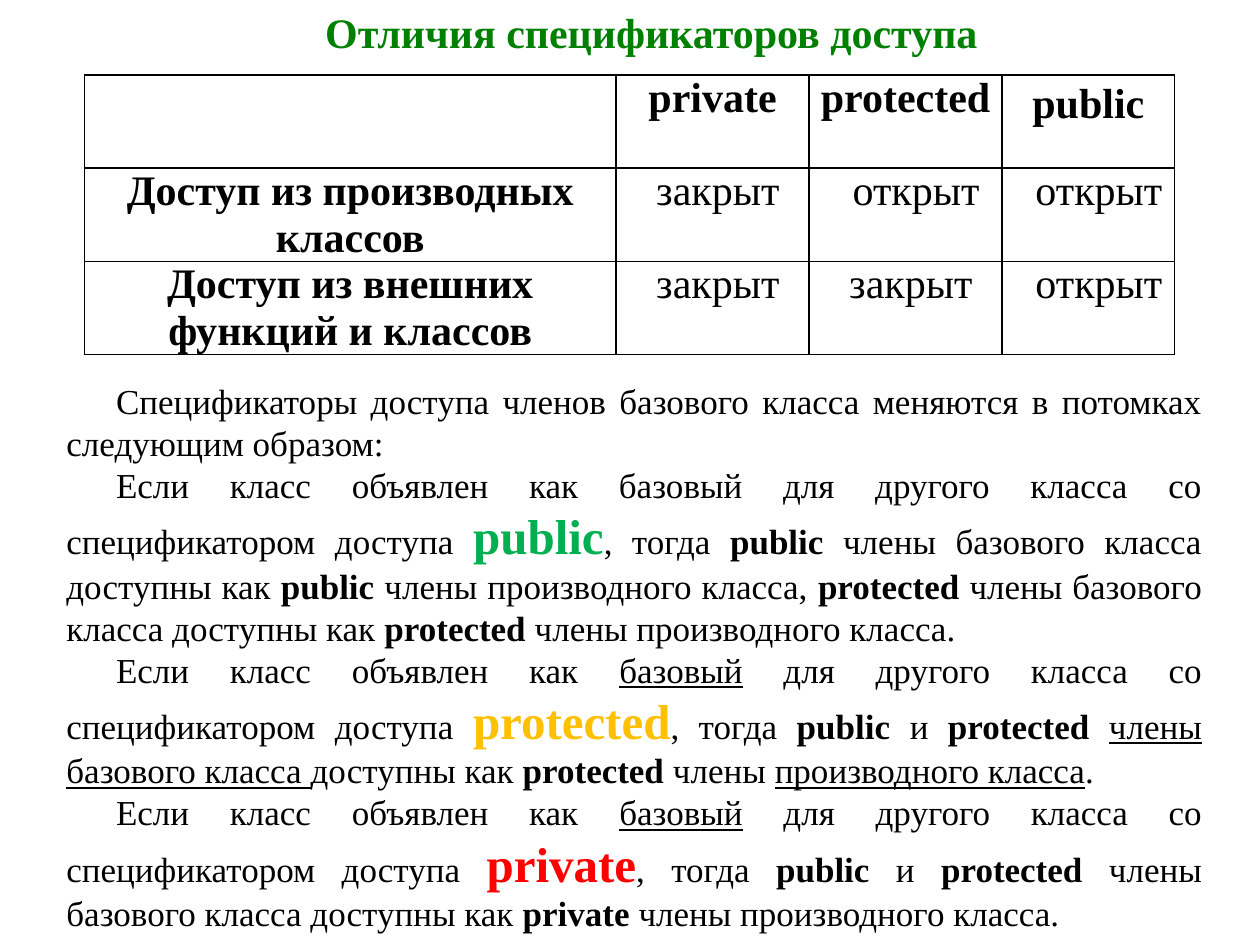
from lxml import etree
from pptx import Presentation
from pptx.dml.color import RGBColor
from pptx.enum.text import MSO_ANCHOR, MSO_AUTO_SIZE, PP_ALIGN
from pptx.oxml.ns import qn
from pptx.util import Cm, Pt

CENTER, JUSTIFY, LEFT = PP_ALIGN.CENTER, PP_ALIGN.JUSTIFY, PP_ALIGN.LEFT
TOP = MSO_ANCHOR.TOP
NO_FIT = MSO_AUTO_SIZE.NONE
TITLE_ONLY = 5
FONT = "Times New Roman"
BLACK, WHITE, GREEN = "000000", "FFFFFF", "008000"

TITLE_BOX = (6.3, 0, 13.79, 1.28)
TABLE_BOX = (1.7, 1.51, 21.98, 5.64)
BODY_BOX = (1.09, 7.52, 23.39, 11.53)

COLUMN_WIDTHS = (10.72, 3.89, 3.89, 3.48)
ACCESS_ROWS = [
    ("", "private", "protected", "public"),
    ("Доступ из производных классов", " закрыт", "  открыт", "  открыт"),
    ("Доступ из внешних функций и классов", " закрыт", " закрыт", "  открыт"),
]

PLAIN = {"size": Pt(20), "bold": False}
BOLD = {"size": Pt(20), "bold": True}
UNDERLINED = {"size": Pt(20), "bold": False, "underline": True}
LARGE = {"size": Pt(28), "bold": True}


def opening(base_style, specifier, color):
    """Return the runs that begin each rule about a base class."""
    return [
        ("Если класс объявлен как ", PLAIN, BLACK),
        ("базовый", base_style, BLACK),
        (" для другого класса со спецификатором доступа ", PLAIN, BLACK),
        (specifier, LARGE, color),
        (", тогда ", PLAIN, BLACK),
        ("public ", BOLD, BLACK),
    ]


BOTH_SPECIFIERS = [("и ", PLAIN, BLACK), ("protected ", BOLD, BLACK)]
PARAGRAPHS = [
    [("Спецификаторы доступа членов базового класса меняются в потомках "
      "следующим образом:", PLAIN, BLACK)],
    opening(PLAIN, "public", "00B050") + [
        ("члены базового класса доступны как ", PLAIN, BLACK),
        ("public ", BOLD, BLACK),
        ("члены производного класса, ", PLAIN, BLACK),
        ("protected ", BOLD, BLACK),
        ("члены базового класса доступны как ", PLAIN, BLACK),
        ("protected ", BOLD, BLACK),
        ("члены производного класса.", PLAIN, BLACK),
    ],
    opening(UNDERLINED, "protected", "FFC000") + BOTH_SPECIFIERS + [
        ("члены базового класса ", UNDERLINED, BLACK),
        ("доступны как ", PLAIN, BLACK),
        ("protected", BOLD, BLACK),
        (" члены ", PLAIN, BLACK),
        ("производного класса", UNDERLINED, BLACK),
        (".", PLAIN, BLACK),
    ],
    opening(UNDERLINED, "private", "FF0000") + BOTH_SPECIFIERS + [
        ("члены базового класса доступны как ", PLAIN, BLACK),
        ("private ", BOLD, BLACK),
        ("члены производного класса.", PLAIN, BLACK),
    ],
]


def apply(target, values):
    """Set every attribute in a dict of format values."""
    for name, value in values.items():
        setattr(target, name, value)


def paint(color, value):
    """Give a colour object the value of a hex string."""
    color.rgb = RGBColor.from_string(value)


def add_span(para, text, style, color):
    """Append one formatted run to a paragraph."""
    span = para.add_run()
    span.text = text
    apply(span.font, {"name": FONT, **style})
    paint(span.font.color, color)


def outline_cell(cell):
    """Draw thin black borders on all sides of a cell."""
    properties = cell._tc.get_or_add_tcPr()
    for side in ("a:lnL", "a:lnR", "a:lnT", "a:lnB"):
        line = etree.SubElement(properties, qn(side), w=str(Pt(1)))
        solid = etree.SubElement(line, qn("a:solidFill"))
        etree.SubElement(solid, qn("a:srgbClr"), val=BLACK)


def place_title(page, box):
    """Move and format the title placeholder."""
    title = page.shapes.title
    left, top, width, height = map(Cm, box)
    apply(title, {"left": left, "top": top, "width": width, "height": height})
    apply(title.text_frame, {"word_wrap": False, "auto_size": NO_FIT, "vertical_anchor": TOP})
    para = title.text_frame.paragraphs[0]
    apply(para, {"alignment": LEFT, "line_spacing": 1.0})
    add_span(para, "Отличия спецификаторов доступа", {"size": Pt(24), "bold": True}, GREEN)


def place_table(page, box):
    """Add the table of access rules."""
    shape = page.shapes.add_table(len(ACCESS_ROWS), len(COLUMN_WIDTHS), *map(Cm, box))
    table = shape.table
    apply(table, {"first_row": False, "horz_banding": False})
    for column, width in zip(table.columns, COLUMN_WIDTHS):
        column.width = Cm(width)
    for row_index, texts in enumerate(ACCESS_ROWS):
        for column_index, text in enumerate(texts):
            cell = table.cell(row_index, column_index)
            outline_cell(cell)
            if text == "public":
                cell.fill.background()
            else:
                cell.fill.solid()
                paint(cell.fill.fore_color, WHITE)
                apply(cell, dict.fromkeys(
                    ("margin_left", "margin_right", "margin_top", "margin_bottom"), 0))
            para = cell.text_frame.paragraphs[0]
            para.alignment = CENTER
            if text:
                heading = row_index == 0 or column_index == 0
                add_span(para, text, {"size": Pt(24), "bold": heading}, BLACK)


def place_body(page, box):
    """Add the justified explanation with first-line indents."""
    frame = page.shapes.add_textbox(*map(Cm, box)).text_frame
    apply(frame, {"word_wrap": True, "vertical_anchor": TOP})
    for index, spans in enumerate(PARAGRAPHS):
        para = frame.add_paragraph() if index else frame.paragraphs[0]
        para.alignment = JUSTIFY
        properties = para._p.get_or_add_pPr()
        properties.set("marL", "0")
        properties.set("indent", str(Cm(1)))
        for span in spans:
            add_span(para, *span)


def main():
    """Build the slide and save the deck."""
    deck = Presentation()
    apply(deck, {"slide_width": Cm(25.4), "slide_height": Cm(19.05)})
    page = deck.slides.add_slide(deck.slide_layouts[TITLE_ONLY])
    place_table(page, TABLE_BOX)
    place_title(page, TITLE_BOX)
    place_body(page, BODY_BOX)
    deck.save("out.pptx")


if __name__ == "__main__":
    main()
